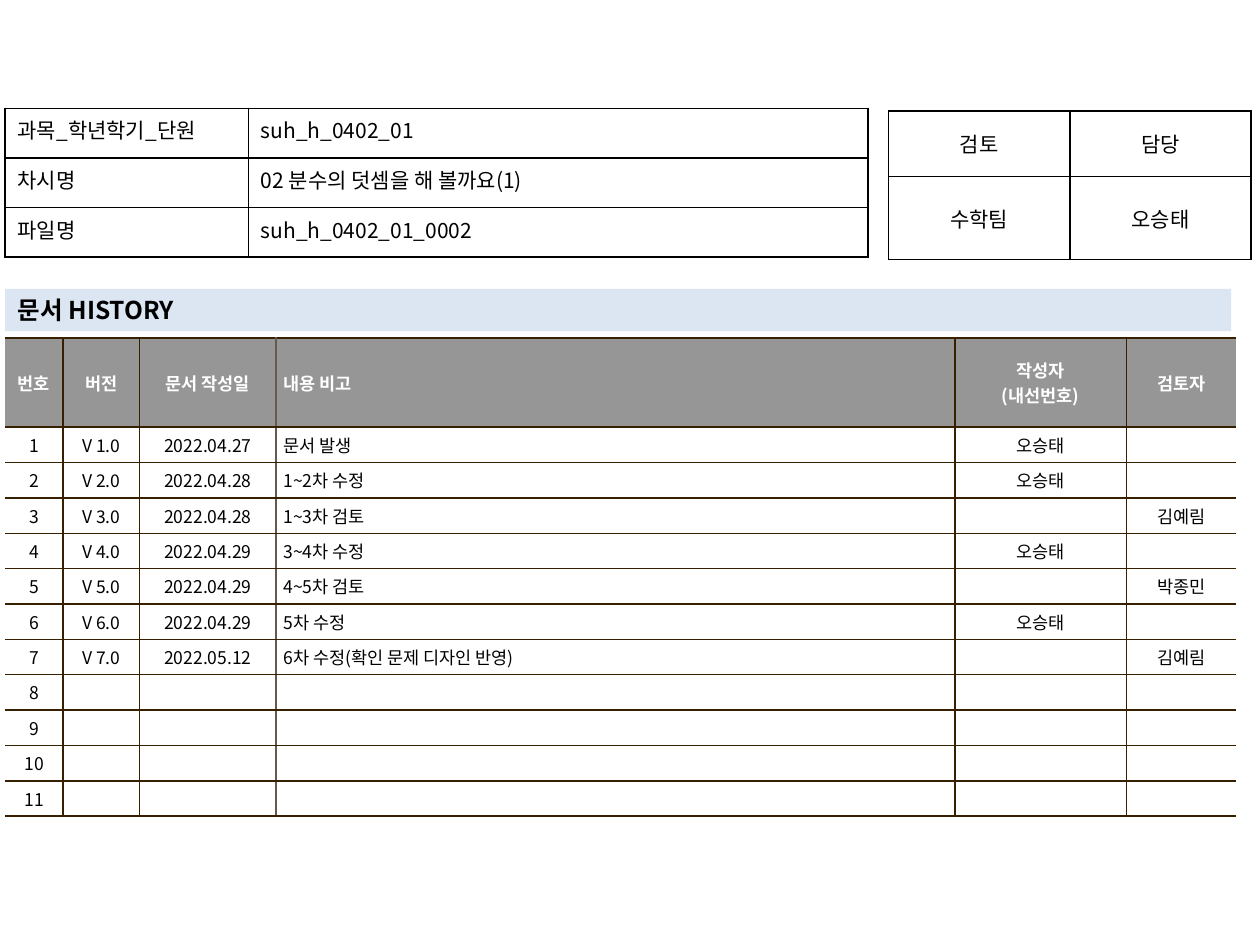
from dataclasses import dataclass

from lxml import etree
from pptx import Presentation
from pptx.dml.color import RGBColor
from pptx.enum import text as t
from pptx.oxml.ns import qn
from pptx.util import Pt

LEFT, CENTER, JUSTIFY = t.PP_ALIGN.LEFT, t.PP_ALIGN.CENTER, t.PP_ALIGN.JUSTIFY
TOP, MIDDLE = t.MSO_ANCHOR.TOP, t.MSO_ANCHOR.MIDDLE


@dataclass(frozen=True)
class Theme:
    font: str = "Noto Sans CJK KR"
    ink: str = "000000"
    paper: str = "FFFFFF"
    band: str = "DCE6F2"
    header: str = "969696"
    rule: str = "362000"
    soft_rule: str = "645B4C"
    heading_size: float = 14
    info_size: float = 12
    history_size: float = 10
    line: float = 1


THEME = Theme()


@dataclass(frozen=True)
class Look:
    """Text and fill of a cell; fill None leaves the cell clear."""
    size: float
    color: str = THEME.ink
    bold: bool = False
    fill: str | None = None
    anchor: t.MSO_ANCHOR = MIDDLE
    margins: tuple[float, float] = (7.2, 3.6)


@dataclass(frozen=True)
class Grid:
    left: float
    top: float
    widths: list[float]
    heights: list[float]
    rows: list[list[str]]
    aligns: list[t.PP_ALIGN]
    rules: list[str | None]  # colours of the vertical rules, left to right
    rule: str
    body: Look
    head: Look


INFO = Look(THEME.info_size, anchor=TOP)
REVIEW = Look(THEME.info_size)
ENTRY = Look(THEME.history_size, fill=THEME.paper, margins=(4.4, 2.9))
ENTRY_HEAD = Look(THEME.history_size, THEME.paper, True, THEME.header, margins=(4.4, 2.9))

ENTRIES = [
    ("2022.04.27", "문서 발생", "오승태", ""),
    ("2022.04.28", "1~2차 수정", "오승태", ""),
    ("2022.04.28", "1~3차 검토", "", "김예림"),
    ("2022.04.29", "3~4차 수정", "오승태", ""),
    ("2022.04.29", "4~5차 검토", "", "박종민"),
    ("2022.04.29", "5차 수정", "오승태", ""),
    ("2022.05.12", "6차 수정(확인 문제 디자인 반영)", "", "김예림"),
]
LAST_NUMBER = 11


def history_rows() -> list[list[str]]:
    header = ["번호", "버전", "문서 작성일", "내용 비고", "작성자\n(내선번호)", "검토자"]
    filled = [[str(n), f"V {n}.0", *entry] for n, entry in enumerate(ENTRIES, 1)]
    blank = [[str(n)] + [""] * 5 for n in range(len(ENTRIES) + 1, LAST_NUMBER + 1)]
    return [header, *filled, *blank]


GRIDS = [
    Grid(2.9, 193, [33.1, 43.9, 77.8, 388.1, 97.9, 62.6], [51.1] + [18] * LAST_NUMBER,
         history_rows(), [CENTER, CENTER, CENTER, LEFT, CENTER, CENTER],
         [None, THEME.rule, THEME.rule, THEME.soft_rule, THEME.rule, THEME.rule, None],
         THEME.rule, ENTRY, ENTRY_HEAD),
    Grid(507.6, 63.4, [103.7] * 2, [37.4, 47.5],
         [["검토", "담당"], ["수학팀", "오승태"]], [CENTER] * 2,
         [THEME.ink] * 3, THEME.ink, REVIEW, REVIEW),
    Grid(2.9, 61.9, [139, 354.2], [28.3] * 3,
         [["과목_학년학기_단원 ", "suh_h_0402_01"],
          ["차시명", "02 분수의 덧셈을 해 볼까요(1)"],
          ["파일명", "suh_h_0402_01_0002"]], [JUSTIFY, LEFT],
         [THEME.ink] * 3, THEME.ink, INFO, INFO),
]


def apply(target, values: dict) -> None:
    for name, value in values.items():
        setattr(target, name, value)


def write(frame, words: str, align: t.PP_ALIGN, look: Look) -> None:
    for index, line in enumerate(words.split("\n")):
        paragraph = frame.add_paragraph() if index else frame.paragraphs[0]
        paragraph.alignment = align
        if not line:
            # An empty cell keeps the small type size so that its row stays low.
            etree.SubElement(paragraph._p, qn("a:endParaRPr"), sz=str(int(look.size * 100)))
            continue
        run = paragraph.add_run()
        run.text = line
        apply(run.font, {"name": THEME.font, "size": Pt(look.size), "bold": look.bold})
        run.font.color.rgb = RGBColor.from_string(look.color)
        east_asian = etree.Element(qn("a:ea"), typeface=THEME.font)
        run.font._element.find(qn("a:latin")).addnext(east_asian)


def draw_border(cell, side: str, color: str | None) -> None:
    border = etree.SubElement(cell._tc.get_or_add_tcPr(), qn(f"a:ln{side}"),
                              w=str(Pt(THEME.line)))
    if color is None:
        etree.SubElement(border, qn("a:noFill"))
    else:
        solid = etree.SubElement(border, qn("a:solidFill"))
        etree.SubElement(solid, qn("a:srgbClr"), val=color)


def draw_grid(slide, grid: Grid) -> None:
    table = slide.shapes.add_table(
        len(grid.heights), len(grid.widths), Pt(grid.left), Pt(grid.top),
        Pt(sum(grid.widths)), Pt(sum(grid.heights))).table
    apply(table, {"first_row": False, "horz_banding": False})
    for column, width in zip(table.columns, grid.widths):
        column.width = Pt(width)
    for r, (row, height) in enumerate(zip(table.rows, grid.heights)):
        row.height = Pt(height)
        look = grid.body if r else grid.head
        side_margin, end_margin = map(Pt, look.margins)
        for c, cell in enumerate(row.cells):
            apply(cell, {"vertical_anchor": look.anchor,
                         "margin_left": side_margin, "margin_right": side_margin,
                         "margin_top": end_margin, "margin_bottom": end_margin})
            borders = {"L": grid.rules[c], "R": grid.rules[c + 1],
                       "T": grid.rule, "B": grid.rule}
            for side, color in borders.items():
                draw_border(cell, side, color)
            if look.fill:
                cell.fill.solid()
                cell.fill.fore_color.rgb = RGBColor.from_string(look.fill)
            else:
                cell.fill.background()
            write(cell.text_frame, grid.rows[r][c], grid.aligns[c], look)


def draw_heading(slide) -> None:
    heading = slide.shapes.title
    apply(heading, {"left": Pt(2.9), "top": Pt(165), "width": Pt(700.6), "height": Pt(24.2)})
    heading.fill.solid()
    heading.fill.fore_color.rgb = RGBColor.from_string(THEME.band)
    apply(heading.text_frame, {
        "auto_size": t.MSO_AUTO_SIZE.NONE, "word_wrap": True, "vertical_anchor": MIDDLE,
        "margin_left": Pt(7.2), "margin_right": Pt(7.2), "margin_top": 0, "margin_bottom": 0})
    write(heading.text_frame, "문서 HISTORY", LEFT, Look(THEME.heading_size, bold=True))


def main() -> None:
    deck = Presentation()
    apply(deck, {"slide_width": Pt(720), "slide_height": Pt(540)})
    slide = deck.slides.add_slide(deck.slide_layouts.get_by_name("Title Only"))
    draw_heading(slide)
    for grid in GRIDS:
        draw_grid(slide, grid)
    deck.save("out.pptx")


if __name__ == "__main__":
    main()
